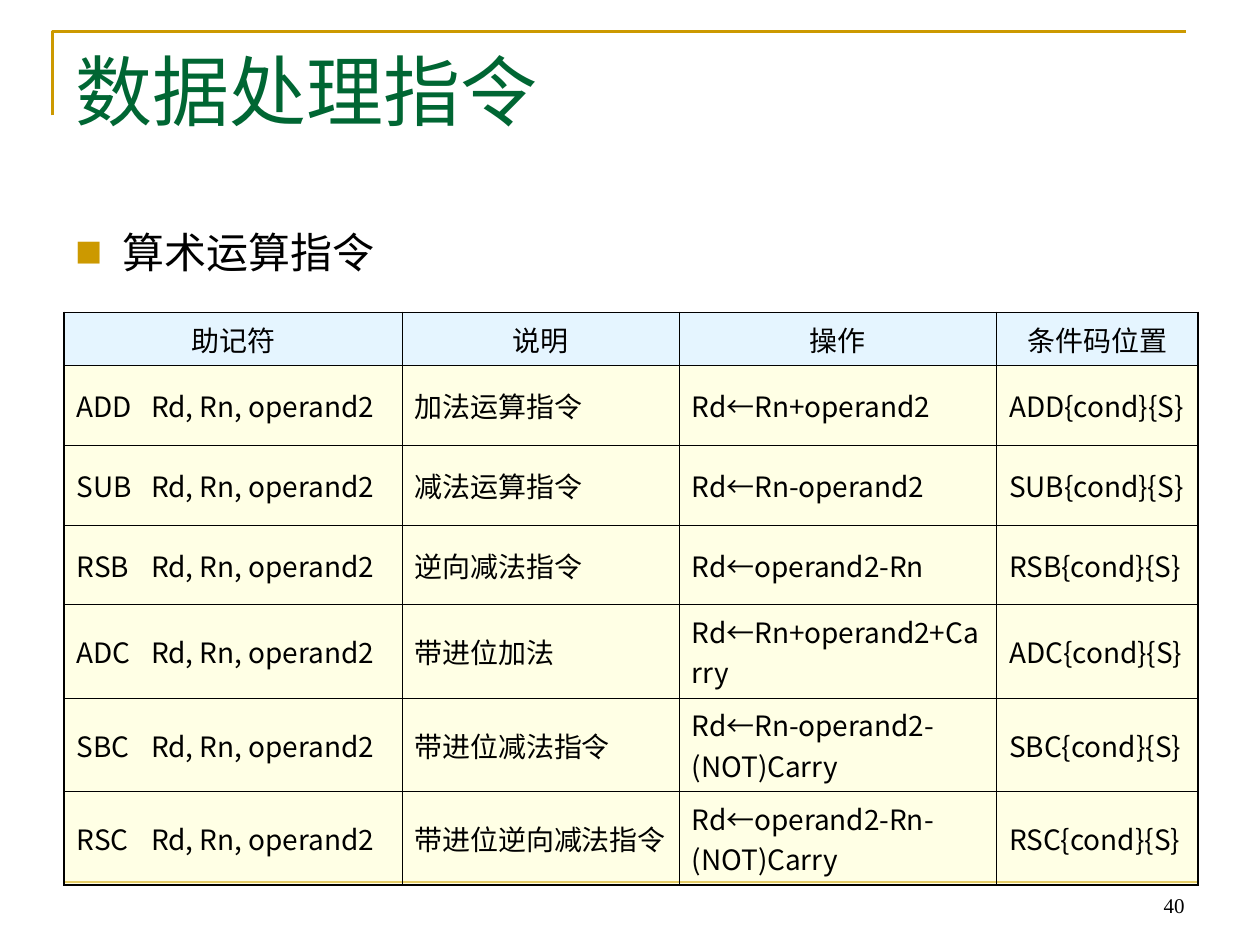
from dataclasses import dataclass

from lxml import etree
from pptx import Presentation
from pptx.dml.color import RGBColor
from pptx.enum.shapes import MSO_CONNECTOR
from pptx.enum.text import MSO_ANCHOR, PP_ALIGN
from pptx.oxml.ns import qn
from pptx.util import Pt

LEFT, CENTER, RIGHT = PP_ALIGN.LEFT, PP_ALIGN.CENTER, PP_ALIGN.RIGHT
TOP, MIDDLE, BOTTOM = MSO_ANCHOR.TOP, MSO_ANCHOR.MIDDLE, MSO_ANCHOR.BOTTOM
STRAIGHT = MSO_CONNECTOR.STRAIGHT


@dataclass(frozen=True)
class Theme:
    ink: str = "000000"
    green: str = "006633"
    gold: str = "CC9900"
    head: str = "CCECFF"
    body: str = "FFFFCC"
    serif: str = "Times New Roman"
    sans: str = "Arial"
    han: str = "Noto Sans CJK SC"
    title: int = 44
    point: int = 24
    cell: int = 16
    page: int = 12
    rule: float = 1.5
    outer: float = 1.08
    inner: float = 0.45


T = Theme()

HEADS = ["助记符", "说明", "操作", "条件码位置"]
OPS = [
    ("ADD", "加法运算指令", "Rn+operand2"),
    ("SUB", "减法运算指令", "Rn-operand2"),
    ("RSB", "逆向减法指令", "operand2-Rn"),
    ("ADC", "带进位加法", "Rn+operand2+Carry"),
    ("SBC", "带进位减法指令", "Rn-operand2-(NOT)Carry"),
    ("RSC", "带进位逆向减法指令", "operand2-Rn-(NOT)Carry"),
]
COLS = [193, 158.4, 181.4, 115.2]
ROWS = [30, 46, 45.5, 45.5, 53.4, 53.4, 53.4]


def add(parent, tag, **attrs):
    node = etree.SubElement(parent, qn(tag))
    for key, value in attrs.items():
        node.set(key, str(value))
    return node


def write(frame, text, size, font=T.han, color=T.ink, align=LEFT,
          bullet=None, indent=0, tab=None):
    """Fill the first paragraph; bullet is a colour, indent and tab are points."""
    para = frame.paragraphs[0]
    para.alignment = align
    props = para._p.get_or_add_pPr()
    if bullet:
        props.set("marL", str(Pt(indent)))
        props.set("indent", str(-Pt(indent)))
        add(add(props, "a:buClr"), "a:srgbClr", val=bullet)
        add(props, "a:buSzPct", val=65000)
        add(props, "a:buFont", typeface=T.han)
        add(props, "a:buChar", char="■")
    if tab:
        add(add(props, "a:tabLst"), "a:tab", pos=Pt(tab), algn="l")
    run = para.add_run()
    run.text = text
    run.font.size, run.font.name, run.font.bold = Pt(size), font, False
    run.font.color.rgb = RGBColor.from_string(color)
    add(run._r.get_or_add_rPr(), "a:ea", typeface=T.han)


def label(slide, box, text, size, anchor=TOP, **look):
    frame = slide.shapes.add_textbox(*map(Pt, box)).text_frame
    frame.word_wrap = True
    frame.vertical_anchor = anchor
    write(frame, text, size, **look)


def ink(shape):
    shape.line.color.rgb = RGBColor.from_string(T.gold)
    shape.line.width = Pt(T.rule)


def corner(slide, box):
    """Draw the gold line up the left side and along the top."""
    x, y, w, h = map(Pt, box)
    path = slide.shapes.build_freeform(x, y + h)
    path.add_line_segments([(x, y), (x + w, y)], close=False)
    shape = path.convert_to_shape()
    shape.shadow.inherit = False
    shape.fill.background()
    ink(shape)


def footer(slide, box):
    x, y, w, h = box
    line = slide.shapes.add_connector(STRAIGHT, Pt(x), Pt(y), Pt(x + w), Pt(y))
    add(line._element.spPr, "a:effectLst")
    ink(line)
    return x + w - 168, y - 12, 168, h


def paint(cell, color, widths):
    """Set a half-clear fill and the left, right, top and bottom borders."""
    cell.fill.solid()
    cell.fill.fore_color.rgb = RGBColor.from_string(color)
    props = cell._tc.get_or_add_tcPr()
    add(next(props.iter(qn("a:srgbClr"))), "a:alpha", val=50000)
    for i, (side, width) in enumerate(zip("LRTB", widths)):
        line = add(props, f"a:ln{side}", w=Pt(width))
        add(add(line, "a:solidFill"), "a:srgbClr", val=T.ink)
        props.insert(i, line)


def grid(slide, box):
    data = [HEADS] + [
        [f"{op}\tRd, Rn, operand2", note, f"Rd←{term}", f"{op}{{cond}}{{S}}"]
        for op, note, term in OPS
    ]
    table = slide.shapes.add_table(len(ROWS), len(COLS), *map(Pt, box)).table
    table.first_row = table.horz_banding = False
    for col, width in zip(table.columns, COLS):
        col.width = Pt(width)
    for row, height in zip(table.rows, ROWS):
        row.height = Pt(height)
    for r, line in enumerate(data):
        for c, text in enumerate(line):
            cell = table.cell(r, c)
            cell.vertical_anchor = MIDDLE
            edges = (c == 0, c == len(COLS) - 1, r == 0, r == len(ROWS) - 1)
            paint(cell, T.body if r else T.head,
                  [T.outer if edge else T.inner for edge in edges])
            write(cell.text_frame, text, T.cell, align=LEFT if r else CENTER,
                  tab=42.5 if r and c == 0 else None)


def main():
    deck = Presentation()
    deck.slide_width, deck.slide_height = Pt(720), Pt(540)
    slide = deck.slides.add_slide(deck.slide_layouts[6])
    corner(slide, (30, 18, 648, 48))
    page = footer(slide, (36, 504, 648, 36))
    label(slide, (36, 21.6, 648, 90), "数据处理指令", T.title,
          font=T.serif, color=T.green)
    label(slide, page, "40", T.page, anchor=BOTTOM, font=T.serif, align=RIGHT)
    label(slide, (36, 126, 648, 356), "算术运算指令", T.point,
          font=T.sans, bullet=T.gold, indent=27)
    grid(slide, (36.7, 178.6, sum(COLS), sum(ROWS)))
    deck.save("out.pptx")


if __name__ == "__main__":
    main()
